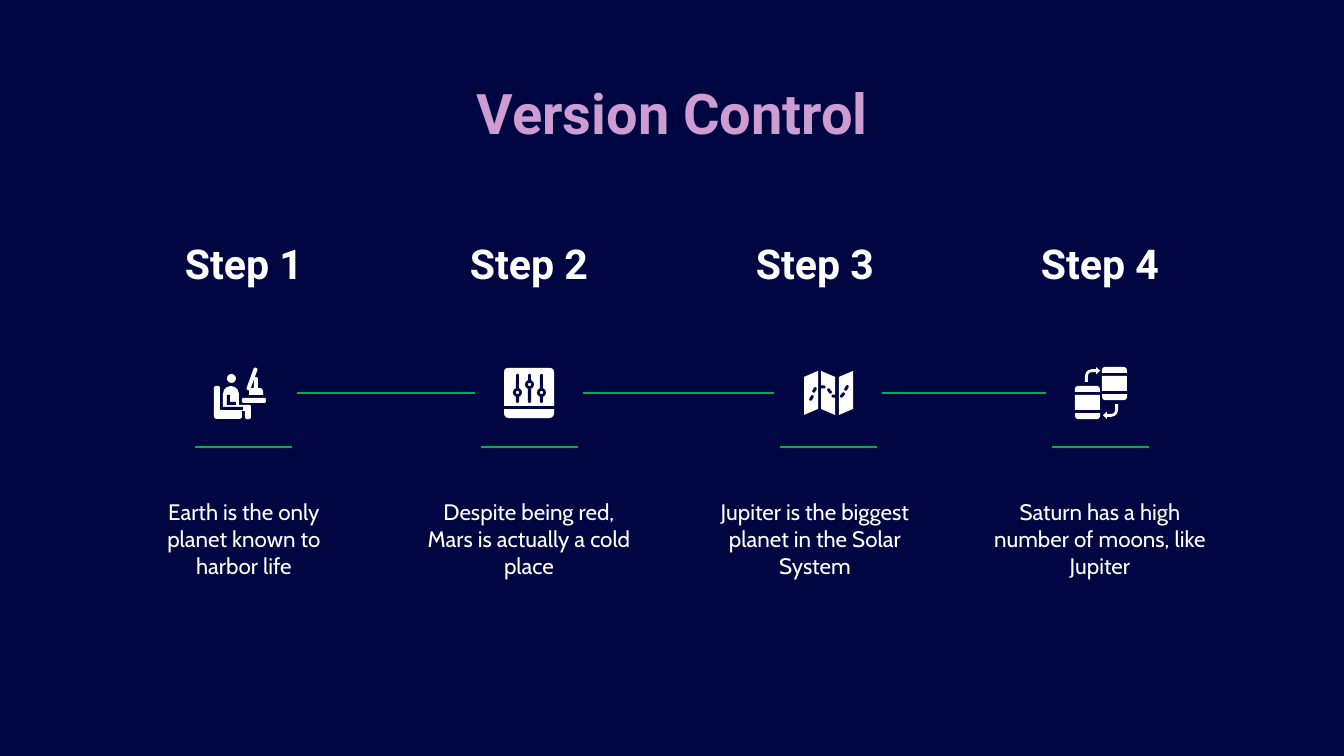
import dataclasses

import lxml.etree
import pptx
import pptx.dml.color
import pptx.enum.shapes
import pptx.enum.text
import pptx.oxml.ns
import pptx.util


@dataclasses.dataclass(frozen=True)
class Theme:
    back: str = "000641"
    text: str = "FFFFFF"
    line: str = "00B050"
    title: tuple = ("CD9CD0", "9CCAED")
    head: str = "Roboto"
    body: str = "Cabin"
    big: int = 30
    mid: int = 22
    small: int = 12
    rule: float = 1.5


theme = Theme()
PX = 914400 / 134.4
rgb = pptx.dml.color.RGBColor.from_string
anchor = pptx.enum.text.MSO_ANCHOR
kind = pptx.enum.shapes.MSO_SHAPE
CAP = kind.ROUND_2_SAME_RECTANGLE
PILL = kind.ROUNDED_RECTANGLE


def write(shape, box, text, face, size, bold, place):
    shape.left, shape.top, shape.width, shape.height = [round(n * PX) for n in box]
    frame = shape.text_frame
    frame.word_wrap = True
    frame.auto_size = pptx.enum.text.MSO_AUTO_SIZE.NONE
    frame.vertical_anchor = place
    frame.margin_left = frame.margin_right = pptx.util.Inches(0.1)
    frame.margin_top = frame.margin_bottom = pptx.util.Inches(0.1)
    para = frame.paragraphs[0]
    para.text = text
    para.alignment = pptx.enum.text.PP_ALIGN.CENTER
    para.font.name = face
    para.font.size = pptx.util.Pt(size)
    para.font.bold = bold
    para.font.color.rgb = rgb(theme.text)
    return para


def draw(icon, form, box, tint=theme.text, turn=0, curve=None):
    shape = icon.shapes.add_shape(form, *[round(n * PX) for n in box])
    shape.shadow.inherit = False
    shape.fill.solid()
    shape.fill.fore_color.rgb = rgb(tint)
    shape.line.fill.background()
    shape.rotation = turn
    if curve is not None:
        shape.adjustments[0] = curve


deck = pptx.Presentation()
deck.slide_width = round(1344 * PX)
deck.slide_height = round(756 * PX)
slide = deck.slides.add_slide(deck.slide_layouts[5])
slide.background.fill.solid()
slide.background.fill.fore_color.rgb = rgb(theme.back)

para = write(slide.shapes.title, (106, 65, 1133, 85), "Version Control",
             theme.head, theme.big, True, anchor.TOP)
para.font.fill.gradient()
para.font.fill.gradient_angle = 0
for stop, tint in zip(para.font.fill.gradient_stops, theme.title):
    stop.color.rgb = rgb(tint)

facts = [
    "Earth is the only planet known to harbor life",
    "Despite being red, Mars is actually a cold place",
    "Jupiter is the biggest planet in the Solar System",
    "Saturn has a high number of moons, like Jupiter",
]
for i, fact in enumerate(facts):
    left = 124 + 571 * i // 2
    write(slide.shapes.add_textbox(0, 0, 0, 0), (left, 231, 240, 70),
          f"Step {i + 1}", theme.head, theme.mid, True, anchor.BOTTOM)
    write(slide.shapes.add_textbox(0, 0, 0, 0), (left, 485, 240, 120),
          fact, theme.body, theme.small, False, anchor.TOP)

marks = [195, 481, 780, 1052]
rules = [(x, x + 97, 447) for x in marks]
rules += [(x + 102, end - 6, 393) for x, end in zip(marks, marks[1:])]
for x, end, y in rules:
    rule = slide.shapes.add_connector(
        pptx.enum.shapes.MSO_CONNECTOR.STRAIGHT,
        *[round(n * PX) for n in (x, y, end, y)])
    rule.line.color.rgb = rgb(theme.line)
    rule.line.width = pptx.util.Pt(theme.rule)
    lxml.etree.SubElement(rule._element.spPr, pptx.oxml.ns.qn("a:effectLst"))

desk, panel, chart, swap = [slide.shapes.add_group_shape() for fact in facts]

head = (227, 374, 9, 9)
torso = (223, 386, 16, 21)
thigh = (231, 405, 20, 6)
shin = (245, 405, 6, 14)
seat = (214, 410, 28, 9)
back = (214, 386, 6, 30)
table = (242, 398, 24, 5)
tube = (250, 367, 4, 24)
stem = (254, 377, 4, 13)
foot = (249, 388, 14, 7)
draw(desk, kind.OVAL, head)
draw(desk, CAP, torso, curve=0.5)
for limb in (thigh, shin, seat, back, table):
    draw(desk, PILL, limb, curve=0.3)
for x, y, wide, high in [(227, 395, 3, 9), (227, 402, 9, 3), (223, 407, 20, 3)]:
    draw(desk, kind.RECTANGLE, (x, y, wide, high), theme.back)
draw(desk, PILL, tube, turn=20, curve=0.5)
draw(desk, CAP, stem, curve=0.5)
draw(desk, CAP, foot, curve=0.5)

draw(panel, CAP, (504, 368, 50, 38), curve=0.1)
draw(panel, CAP, (504, 409, 50, 9), turn=180, curve=0.5)
for x, y in [(516, 391), (528, 383), (540, 391)]:
    draw(panel, PILL, (x, 374, 3, 29), theme.back, curve=0.5)
    draw(panel, kind.OVAL, (x - 3, y - 3, 9, 9), theme.back)
    draw(panel, kind.OVAL, (x, y, 3, 3))

low, high, tall = 377, 371, 38
for i, left in enumerate([804, 821, 839]):
    right = left + 14
    start, end = (high, low) if i == 1 else (low, high)
    pen = chart.shapes.build_freeform(left, start, scale=PX)
    pen.add_line_segments([(right, end), (right, end + tall), (left, start + tall)])
    fold = pen.convert_to_shape()
    fold.shadow.inherit = False
    fold.fill.solid()
    fold.fill.fore_color.rgb = rgb(theme.text)
    fold.line.fill.background()
trail = [(814, 390, 30), (811, 398, 30), (822, 387, 90), (829, 391, -35),
         (834, 396, 90), (842, 395, 40), (846, 388, 30)]
for x, y, turn in trail:
    draw(chart, PILL, (x - 1, y - 3, 3, 6), theme.back, turn, 0.5)

for x, y in [(1075, 386), (1102, 367)]:
    draw(swap, CAP, (x, y, 25, 6), curve=0.5)
    draw(swap, kind.RECTANGLE, (x, y + 9, 25, 15))
    draw(swap, CAP, (x, y + 27, 25, 6), turn=180, curve=0.5)
for x, y, turn in [(1085, 367, 0), (1103, 404, 180)]:
    draw(swap, kind.BENT_ARROW, (x, y, 15, 15), turn=turn, curve=0.2)

deck.save("out.pptx")
